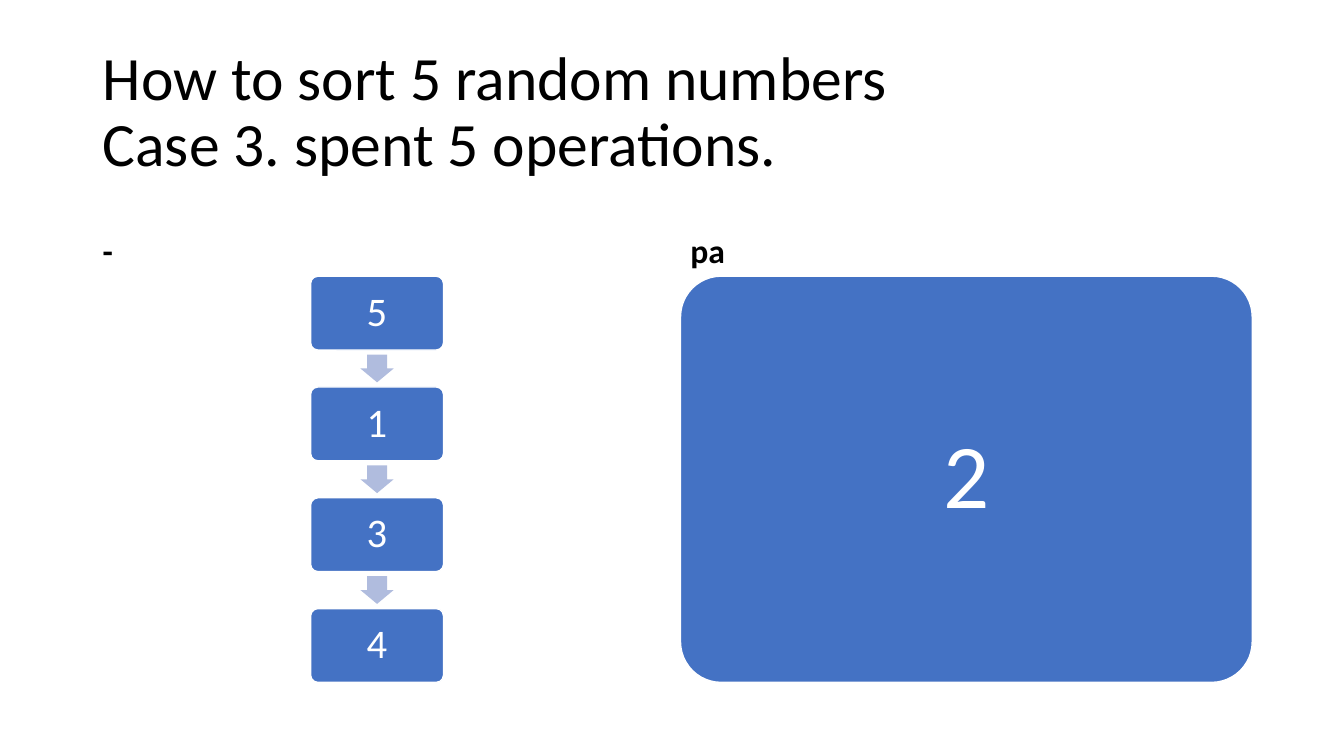
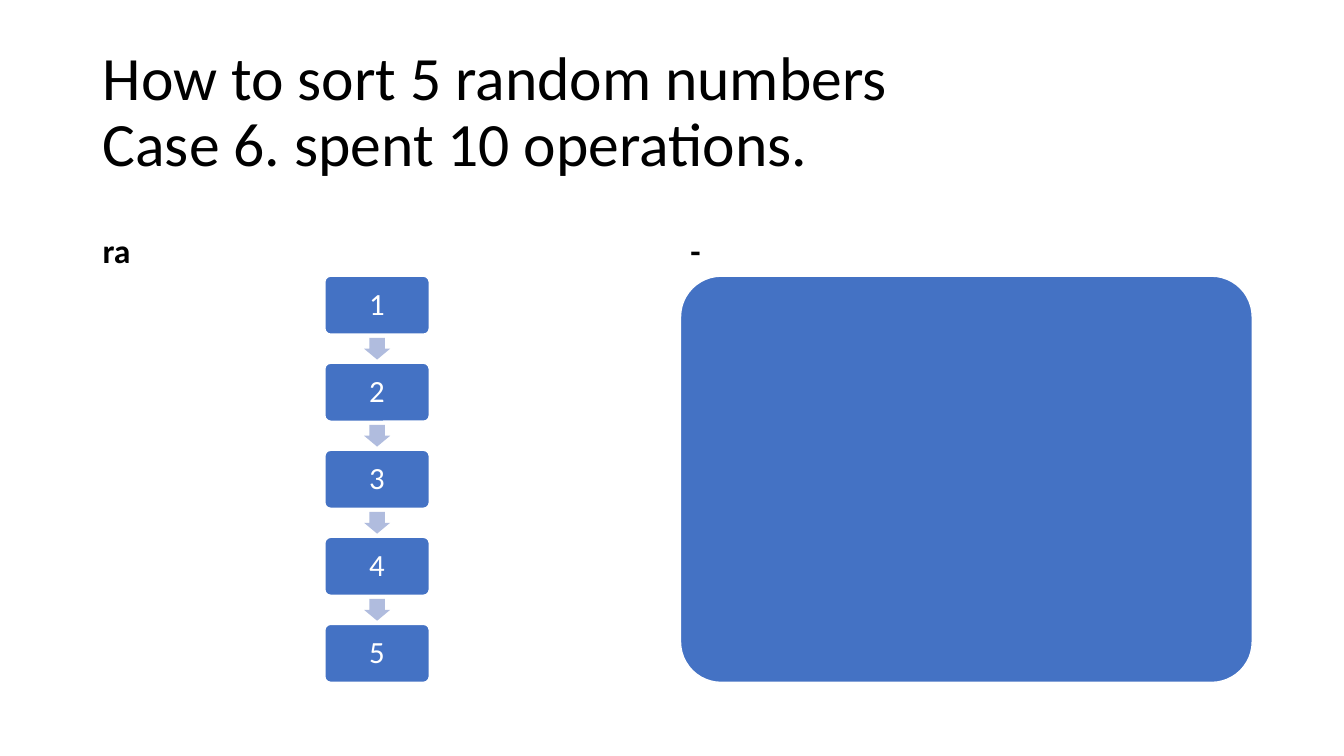
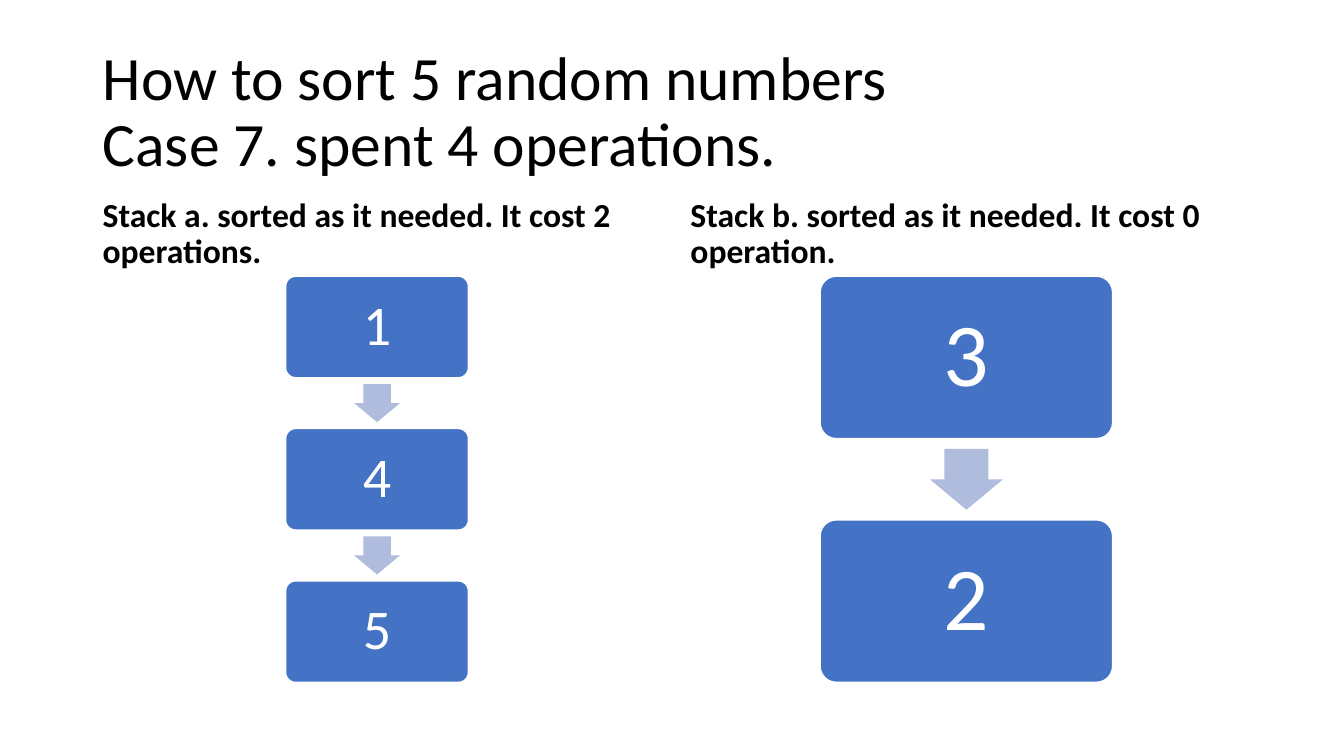
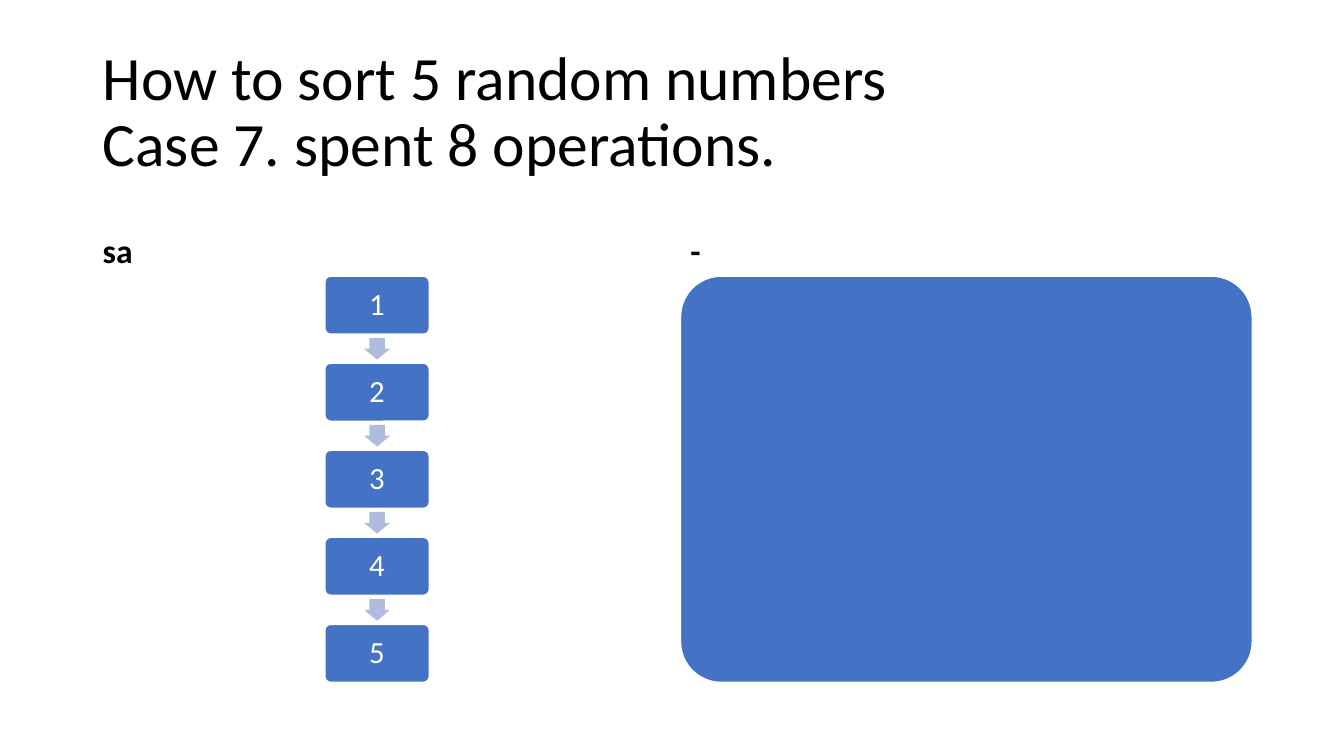
from pptx import Presentation
from pptx.dml.color import RGBColor
from pptx.enum.shapes import MSO_SHAPE as Shape
from pptx.enum.text import MSO_ANCHOR as Anchor, PP_ALIGN as Align
from pptx.util import Inches, Pt

COLORS = {"text": "000000", "box": "4472C4", "arrow": "B0BCDE", "white": "FFFFFF"}
FONT = "Calibri"

# Columns as (left, width); stacks fill the same height in both
COLUMNS = [(0.92, 5.64), (6.75, 5.67)]
STACK_TOP, STACK_HEIGHT = 2.74, 4.03
NUMBER_SIZES = {1: 65, 2: 64, 3: 40, 4: 29, 5: 22}  # by boxes in the stack


def color(key):
    return RGBColor.from_string(COLORS[key])


class Deck:
    def __init__(self):
        self.prs = Presentation()
        self.prs.slide_width, self.prs.slide_height = Inches(13.33), Inches(7.5)
        self.slide = None

    def new_slide(self):
        self.slide = self.prs.slides.add_slide(self.prs.slide_layouts[6])

    def set_text(self, frame, text, size, ink, anchor, align=Align.LEFT, bold=False):
        frame.word_wrap = True
        frame.vertical_anchor = anchor
        paragraph = frame.paragraphs[0]
        paragraph.text = text
        paragraph.alignment = align
        paragraph.line_spacing = 0.9
        font = paragraph.font
        font.name, font.size, font.bold = FONT, Pt(size), bold
        font.color.rgb = color(ink)

    def text(self, text, left, top, width, height, size, anchor, bold=False):
        box = self.slide.shapes.add_textbox(*map(Inches, (left, top, width, height)))
        self.set_text(box.text_frame, text, size, "text", anchor, bold=bold)

    def title(self, text):
        self.text(text, 0.92, 0.4, 11.5, 1.45, 44, Anchor.MIDDLE)

    def heading(self, text, left, width):
        self.text(text, left, 1.84, width, 0.9, 24, Anchor.BOTTOM, bold=True)

    def shape(self, kind, center_x, center_y, width, height, fill):
        shape = self.slide.shapes.add_shape(
            kind, Inches(center_x - width / 2), Inches(center_y - height / 2),
            Inches(width), Inches(height))
        shape.shadow.inherit = False
        shape.fill.solid()
        shape.fill.fore_color.rgb = color(fill)
        return shape

    def number_box(self, number, center_x, center_y, width, height, size):
        box = self.shape(Shape.ROUNDED_RECTANGLE, center_x, center_y, width, height, "box")
        box.adjustments[0] = 0.1
        box.line.color.rgb = color("white")
        box.line.width = Pt(1)
        if number:
            frame = box.text_frame
            frame.margin_top = frame.margin_bottom = 0
            self.set_text(frame, number, size, "white", Anchor.MIDDLE, Align.CENTER)

    def arrow(self, center_x, center_y, length, breadth):
        arrow = self.shape(Shape.RIGHT_ARROW, center_x, center_y, length, breadth, "arrow")
        arrow.rotation = 90
        arrow.adjustments[0], arrow.adjustments[1] = 0.6, 0.5
        arrow.line.fill.background()

    def stack(self, numbers, left, width):
        """Boxes from top to bottom, with gaps of half a box that hold arrows."""
        count = len(numbers)
        box_height = STACK_HEIGHT / (1.5 * count - 0.5)
        box_width = min(1.8 * box_height, width)
        center_x = left + width / 2
        for index, number in enumerate(numbers):
            center_y = STACK_TOP + box_height * (0.5 + 1.5 * index)
            if index:
                self.arrow(center_x, center_y - 0.75 * box_height,
                           0.375 * box_height, 0.45 * box_height)
            self.number_box(number, center_x, center_y, box_width, box_height,
                            NUMBER_SIZES[count])


# Case, operations spent, then heading and numbers of each stack
CASES = [
    (3, 5, [("-", ["5", "1", "3", "4"]), ("pa", ["2"])]),
    (6, 10, [("ra", ["1", "2", "3", "4", "5"]), ("-", [""])]),
    (7, 4, [("Stack a. sorted as it needed. It cost 2 operations.", ["1", "4", "5"]),
            ("Stack b. sorted as it needed. It cost 0 operation.", ["3", "2"])]),
    (7, 8, [("sa", ["1", "2", "3", "4", "5"]), ("-", [""])]),
]


def main():
    deck = Deck()
    for case, operations, stacks in CASES:
        deck.new_slide()
        deck.title(f"How to sort 5 random numbers\nCase {case}. spent {operations} operations.")
        for (heading, numbers), column in zip(stacks, COLUMNS):
            deck.heading(heading, *column)
            deck.stack(numbers, *column)
    deck.prs.save("out.pptx")


if __name__ == "__main__":
    main()
